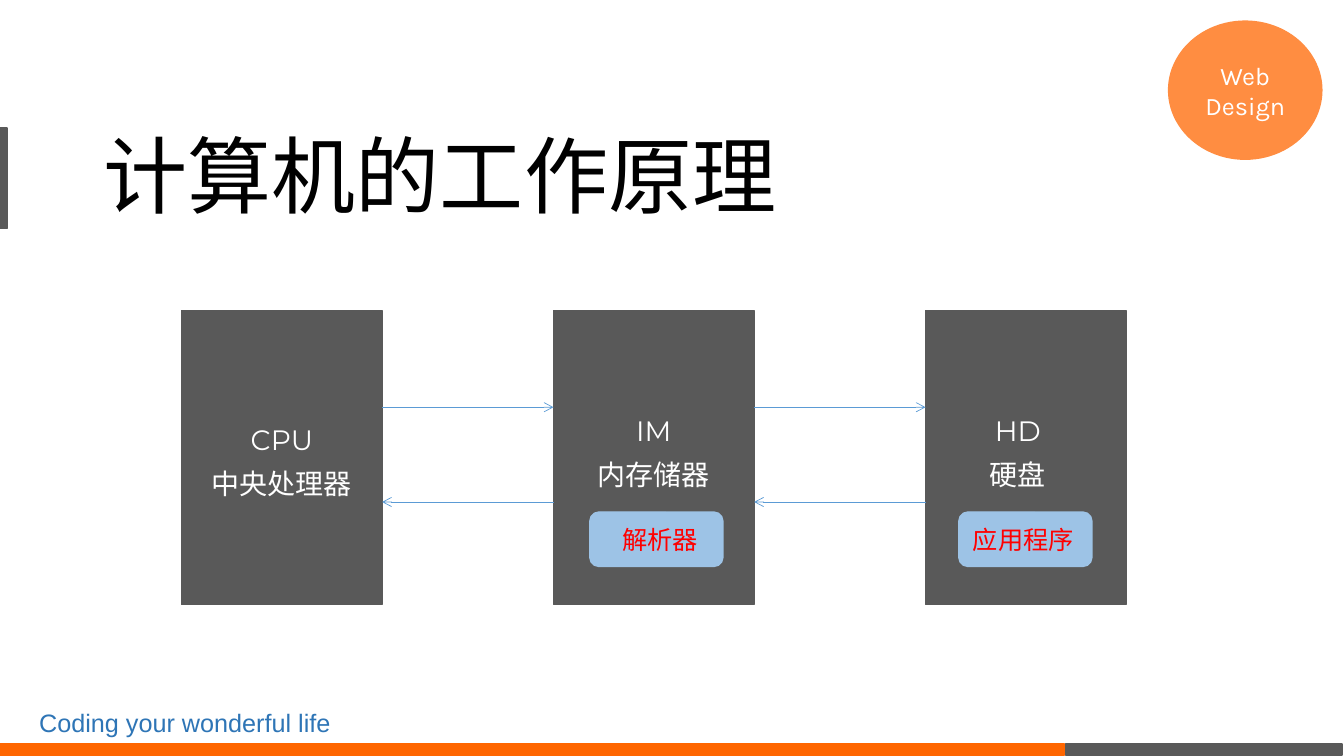
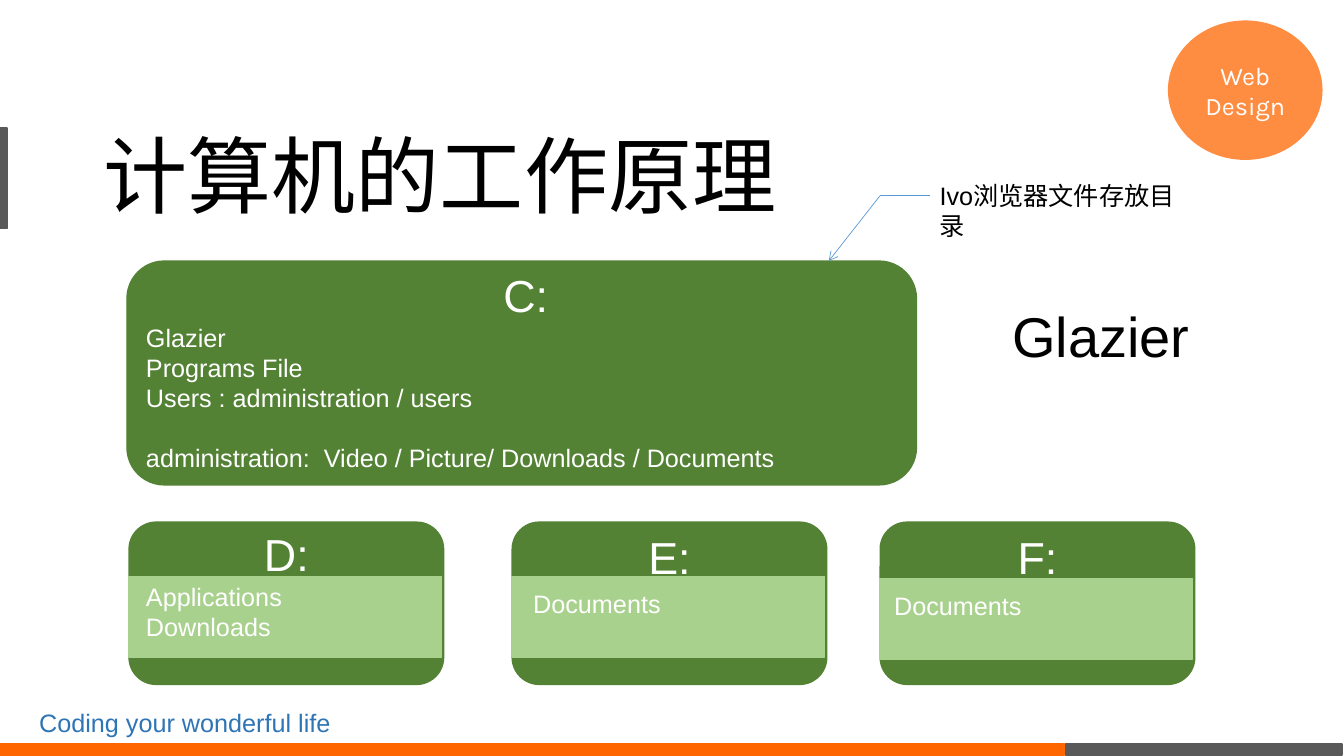
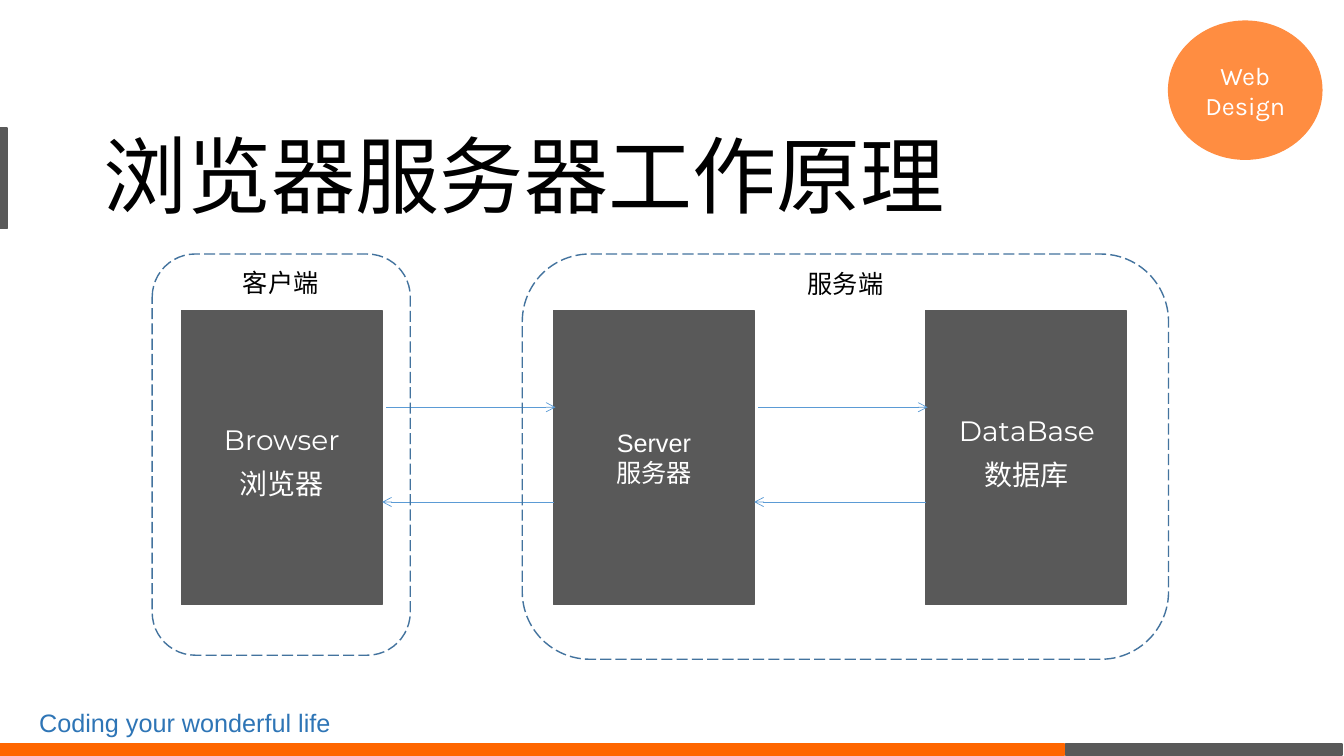
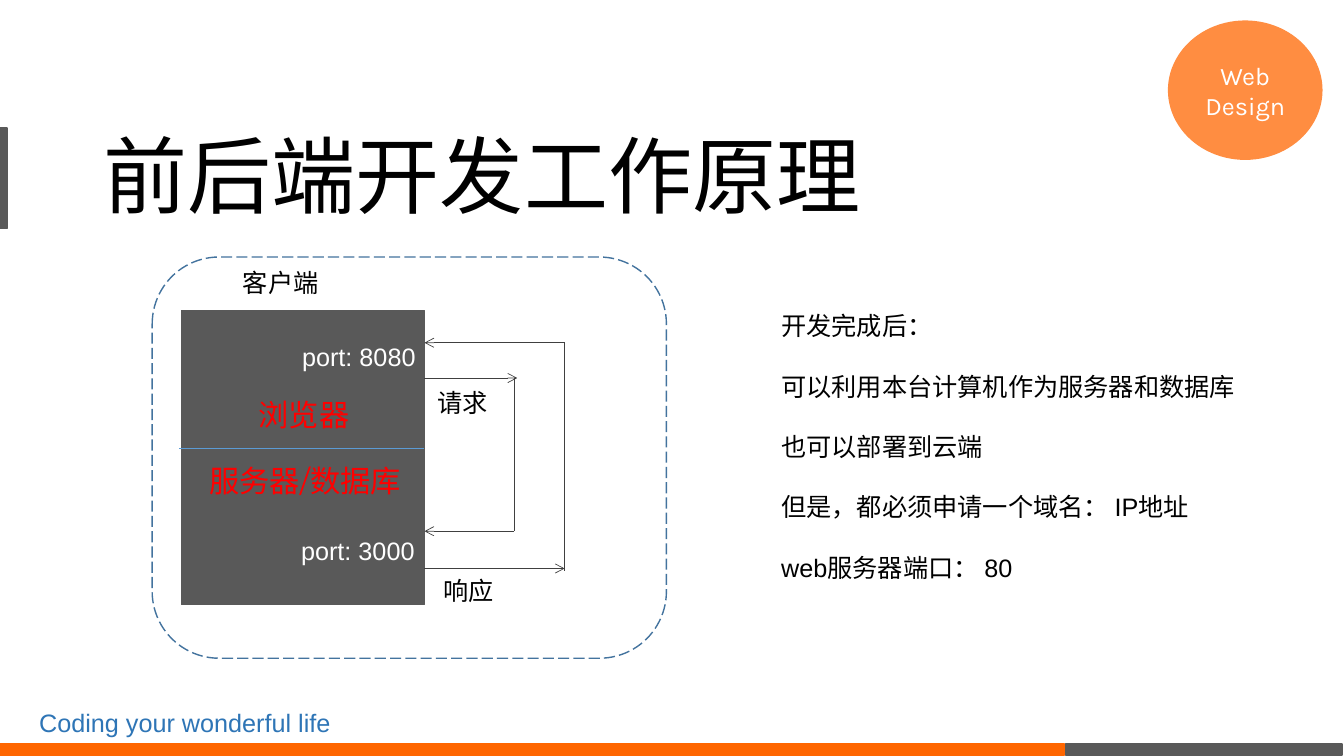
from dataclasses import dataclass, replace
from typing import Any

from lxml.etree import SubElement
from pptx import Presentation
from pptx.dml.color import RGBColor
from pptx.enum.dml import MSO_LINE as Dash
from pptx.enum.lang import MSO_LANGUAGE_ID as Lang
from pptx.enum.shapes import MSO_CONNECTOR as Link, MSO_SHAPE as Kind
from pptx.enum.text import MSO_ANCHOR as Anchor, MSO_AUTO_SIZE as Fit, PP_ALIGN as Align
from pptx.oxml.ns import qn
from pptx.util import Inches, Pt

Rect = tuple[float, float, float, float]


# Theme: colours, fonts and type sizes
@dataclass(frozen=True)
class Theme:
    black: str = "000000"
    white: str = "FFFFFF"
    gray: str = "595959"
    ink: str = "404040"
    orange: str = "FF6600"
    peach: str = "FF8D41"
    red: str = "FF0000"
    slogan: str = "2E75B6"
    wire: str = "5B9BD5"
    frame: str = "43739E"
    sky: str = "9DC3E6"
    green: str = "548235"
    lime: str = "A9D18E"
    sans: str = "Arial"
    head: str = "Montserrat"
    badge: str = "Karla"
    body: float = 18
    label: float = 20
    role: float = 21.6
    drive: float = 32
    system: float = 40
    title: float = 60
    gap: float = 21.6


T = Theme()


@dataclass(frozen=True)
class Style:
    size: float = T.body
    color: str = T.black
    font: str = T.sans
    align: Align = Align.LEFT
    before: float = 0
    lead: float = 1.0


BODY = Style()
MID = replace(BODY, align=Align.CENTER)
NOTE = replace(BODY, color=T.white)
PORT = replace(NOTE, align=Align.RIGHT)
DRIVE = replace(NOTE, size=T.drive, align=Align.CENTER)
LABEL = Style(T.label, T.white, T.head, Align.CENTER, 10, 0.9)
ROLE = replace(LABEL, size=T.role, color=T.red)
TAG = replace(MID, color=T.red)
TITLE = Style(T.title, T.black, T.head, lead=1.3)
BADGE = Style(T.body, T.white, T.badge, Align.CENTER)
SPACED = replace(BODY, before=T.gap)

Line = str | tuple[str, Style]


# Element descriptions
@dataclass(frozen=True)
class Box:
    at: Rect
    fill: str | None = T.gray
    kind: Kind = Kind.RECTANGLE
    lines: tuple[Line, ...] = ()
    style: Style = BODY


@dataclass(frozen=True)
class Text:
    at: Rect
    lines: tuple[Line, ...]
    style: Style = BODY
    wrap: bool = True


@dataclass(frozen=True)
class Wire:
    start: tuple[float, float]
    end: tuple[float, float]
    color: str = T.wire
    arrow: bool = True


Item = Box | Text | Wire


# Drawing
def put(obj: Any, vals: dict[str, Any]) -> None:
    for key, val in vals.items():
        setattr(obj, key, val)


def place(at: Rect) -> list[int]:
    return [Inches(v) for v in at]


def write(frame: Any, lines: tuple[Line, ...], base: Style) -> None:
    for i, line in enumerate(lines):
        words, style = (line, base) if isinstance(line, str) else line
        para = frame.paragraphs[0] if i == 0 else frame.add_paragraph()
        put(para, {"alignment": style.align, "line_spacing": style.lead,
                   "space_before": Pt(style.before)})
        run = para.add_run()
        run.text = words
        put(run.font, {"name": style.font, "size": Pt(style.size)})
        run.font.color.rgb = RGBColor.from_string(style.color)
        if not words.isascii():
            run.font.language_id = Lang.SIMPLIFIED_CHINESE


def draw_box(slide: Any, box: Box) -> None:
    shape = slide.shapes.add_shape(box.kind, *place(box.at))
    shape.shadow.inherit = False
    shape.line.width = Pt(1)
    shape.line.color.rgb = RGBColor.from_string(box.fill or T.frame)
    if box.fill:
        shape.fill.solid()
        shape.fill.fore_color.rgb = RGBColor.from_string(box.fill)
    else:
        shape.fill.background()
        shape.line.dash_style = Dash.LONG_DASH
    if box.lines:
        put(shape.text_frame, {"word_wrap": True, "vertical_anchor": Anchor.MIDDLE})
        write(shape.text_frame, box.lines, box.style)


def draw_text(slide: Any, text: Text) -> None:
    frame = slide.shapes.add_textbox(*place(text.at)).text_frame
    put(frame, {"word_wrap": text.wrap, "vertical_anchor": Anchor.TOP})
    write(frame, text.lines, text.style)


def draw_wire(slide: Any, wire: Wire) -> None:
    link = slide.shapes.add_connector(Link.STRAIGHT, *place(wire.start + wire.end))
    link.line.width = Pt(0.5)
    link.line.color.rgb = RGBColor.from_string(wire.color)
    props = link._element.spPr
    if wire.arrow:
        SubElement(props.find(qn("a:ln")), qn("a:tailEnd"), type="arrow")
    SubElement(props, qn("a:effectLst"))


DRAW = {Box: draw_box, Text: draw_text, Wire: draw_wire}

# Shared by every slide: badge, bottom bands, slogan and title bar
COMMON: list[Item] = [
    Box((11.59, 0.21, 1.52, 1.37), T.peach, Kind.OVAL, ("Web Design",), BADGE),
    Box((-0.01, 7.38, 10.57, 0.11), T.orange),
    Box((10.57, 7.38, 2.74, 0.11)),
    Text((0.29, 6.97, 3.5, 0.4), ("Coding your wonderful life",),
         replace(BODY, color=T.slogan)),
    Box((-0.01, 1.27, 0.08, 1)),
]


def build(deck: Any, title: str, items: list[Item]) -> None:
    slide = deck.slides.add_slide(deck.slide_layouts[5])
    head = slide.shapes.title
    left, top, width, height = place((0.93, 0.6, 10.15, 1.68))
    put(head, {"left": left, "top": top, "width": width, "height": height})
    put(head.text_frame, {"word_wrap": True, "auto_size": Fit.NONE,
                          "vertical_anchor": Anchor.BOTTOM})
    write(head.text_frame, (title,), TITLE)
    for item in COMMON + items:
        DRAW[type(item)](slide, item)


# Three cards in a row, joined by arrows both ways
CARD_W, STEP = 1.99, 3.69
COLS = [1.8 + STEP * i for i in range(3)]


def card(col: int, *lines: str) -> Box:
    return Box((COLS[col], 3.08, CARD_W, 2.92), lines=lines,
               style=replace(MID, color=T.white))


def label(left: float, top: float, *lines: str) -> Text:
    return Text((left, top, CARD_W, 0.89), lines, LABEL)


def flow(shift: float = 0) -> list[Item]:
    wires: list[Item] = []
    for left, right in zip(COLS, COLS[1:]):
        edge = left + CARD_W
        wires += [Wire((edge + shift, 4.04), (right + shift / 2, 4.04)),
                  Wire((right, 4.98), (edge, 4.98))]
    return wires


def tag(left: float, width: float, words: str, inset: float) -> list[Item]:
    return [Box((left, 5.08, 1.32, 0.54), T.sky, Kind.ROUNDED_RECTANGLE),
            Text((left + inset, 5.15, width, 0.4), (words,), TAG, wrap=False)]


def border(*at: float) -> Box:
    return Box(at, None, Kind.ROUNDED_RECTANGLE)


CLIENT = Text((2.31, 2.6, 0.95, 0.4), ("客户端",), wrap=False)

# Slide 1: processor, memory and disk
units: list[Item] = [
    *(card(i) for i in range(3)),
    label(1.8, 4.18, "CPU", "中央处理器"),
    label(5.49, 4.09, "IM", "内存储器"),
    label(9.1, 4.09, "HD", "硬盘"),
    *flow(),
    *tag(5.85, 0.95, "解析器", 0.22),
    *tag(9.51, 1.2, "应用程序", 0.04),
]


# Slide 2: drives and their folders
def drive(left: float, name: str, drop: float, band: float,
          note: tuple[float, float], *lines: str) -> list[Item]:
    return [Box((left, 5.18, 3.12, 1.61), T.green, Kind.ROUNDED_RECTANGLE),
            Text((left, 5.18 + drop, 3.12, 1.55), (name,), DRIVE),
            Box((left, band, 3.1, 0.8), T.lime),
            Text((left + note[0], note[1], 3, 0.71), lines, NOTE)]


drives: list[Item] = [
    Box((1.26, 2.59, 7.83, 2.22), T.green, Kind.ROUNDED_RECTANGLE),
    Text((1.35, 2.61, 7.73, 2.15), (
        ("C:", DRIVE), "Glazier", "Programs File", "Users : administration / users",
        ("administration:  Video / Picture/ Downloads / Documents",
         replace(NOTE, before=T.gap))), NOTE),
    *drive(1.28, "D:", 0, 5.72, (0.07, 5.72), "Applications", "Downloads"),
    *drive(5.08, "E:", 0.03, 5.72, (0.11, 5.79), "Documents"),
    *drive(8.73, "F:", 0.03, 5.74, (0.04, 5.81), "Documents"),
    Text((9.94, 2.94, 3.04, 0.77), ("Glazier",), replace(BODY, size=T.system)),
    Wire((8.73, 1.94), (8.22, 2.59)),
    Wire((8.73, 1.94), (9.22, 1.94), arrow=False),
    Text((9.22, 1.74, 2.75, 0.4), ("Ivo浏览器文件存放目录",)),
]

# Slide 3: browser, server and database
web: list[Item] = [
    card(0), card(1, "Server", "服务器"), card(2),
    label(1.8, 4.18, "Browser", "浏览器"),
    label(9.19, 4.09, "DataBase", "数据库"),
    *flow(0.04),
    border(5.18, 2.52, 6.41, 4.02),
    border(1.51, 2.52, 2.56, 3.98),
    CLIENT,
    Text((7.75, 2.61, 1.27, 0.4), ("服务端",), MID),
]

# Slide 4: one machine with two ports
EDGE, NEAR, FAR = 4.21, 5.1, 5.6
local: list[Item] = [
    Box((1.8, 3.08, 2.41, 2.92)),
    border(1.51, 2.55, 5.1, 3.98),
    CLIENT,
    Text((1.79, 3.92, 2.45, 0.49), ("浏览器",), ROLE),
    Text((1.8, 4.58, 2.45, 0.49), ("服务器/数据库",), ROLE),
    Text((1.8, 3.34, 2.42, 0.4), ("port: 8080",), PORT),
    Text((1.79, 5.26, 2.42, 0.4), ("port: 3000",), PORT),
    Wire((EDGE, 3.75), (5.13, 3.75), T.ink),
    Wire((NEAR, 3.75), (NEAR, 5.27), T.ink, arrow=False),
    Wire((NEAR, 5.27), (EDGE, 5.27), T.ink),
    Wire((EDGE, 5.64), (FAR, 5.64), T.ink),
    Wire((FAR, 3.4), (FAR, 5.66), T.ink, arrow=False),
    Wire((FAR, 3.4), (EDGE, 3.4), T.ink),
    Text((4.24, 3.79, 0.78, 0.4), ("请求",)),
    Text((4.3, 5.66, 0.7, 0.4), ("响应",), wrap=False),
    Text((7.65, 3.03, 4.89, 2.83), (
        ("开发完成后：", BODY), "可以利用本台计算机作为服务器和数据库", "也可以部署到云端",
        "但是，都必须申请一个域名： IP地址", "web服务器端口： 80"), SPACED),
    Wire((1.78, 4.45), (EDGE, 4.45), arrow=False),
]

# Deck
deck = Presentation()
put(deck, {"slide_width": Inches(13.33), "slide_height": Inches(7.5)})
for title, items in [("计算机的工作原理", units), ("计算机的工作原理", drives),
                     ("浏览器服务器工作原理", web), ("前后端开发工作原理", local)]:
    build(deck, title, items)
deck.save("out.pptx")
